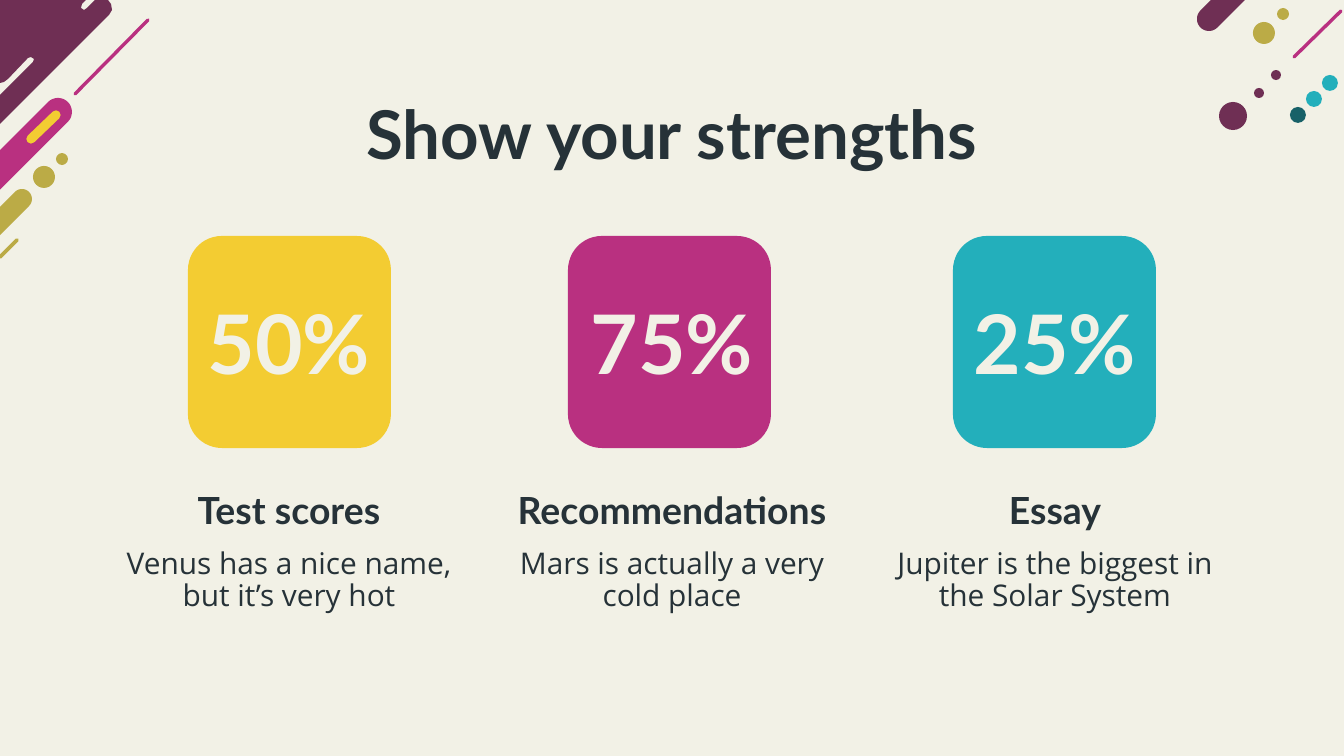
import math
from lxml import etree
from pptx import Presentation
from pptx.dml.color import RGBColor
from pptx.enum import shapes, text
from pptx.oxml.ns import qn
from pptx.util import Pt

WIDTH, HEIGHT = 1344, 756
SCALE = 9144000 / WIDTH
CREAM, INK = "F2F1E6", "263238"
PLUM, PINK, OLIVE = "6F2F54", "B93080", "BBAB46"
YELLOW, TEAL, DARK_TEAL = "F3CC32", "23AFBB", "186168"

TITLE = "Show your strengths"
# percentage, heading, description, card colour, card left
STRENGTHS = [
    ("50%", "Test scores", "Venus has a nice name, but it’s very hot", YELLOW, 188),
    ("75%", "Recommendations", "Mars is actually a very cold place", PINK, 568),
    ("25%", "Essay", "Jupiter is the biggest in the Solar System", TEAL, 953),
]
COLUMN_LEFT, COLUMN_PITCH, COLUMN_WIDTH = 105, 383, 368
CARD_TOP, CARD_WIDTH, CARD_HEIGHT = 236, 203, 212

PLUM_CORNER = [
    (0, 0), (0, 83), (4, 82), (8, 79), (28, 58), (31, 57), (34, 59), (33, 62),
    (0, 95), (0, 124), (109, 15), (112, 10), (111, 4), (108, 0), (95, 0),
    (87, 8), (84, 10), (81, 8), (82, 4), (86, 0),
]
# centre x, centre y, radius, colour
LEFT_BARS = [(22, 199, 10, OLIVE), (58, 112, 14, PINK)]
RIGHT_BAR = (1209, 19, 12, PLUM)
DOTS = [
    (44, 177, 11, OLIVE), (62, 159, 6, OLIVE),
    (1264, 33, 11, OLIVE), (1283, 14, 6, OLIVE),
    (1276, 75, 5, PLUM), (1259, 93, 5, PLUM), (1233, 116, 14, PLUM),
    (1298, 115, 8, DARK_TEAL), (1314, 99, 8, TEAL), (1330, 83, 8, TEAL),
]
# start x, start y, end x, end y, width in points, colour
STREAKS = [
    (75, 94, 148, 20, 1.8, PINK),
    (0, 257, 17, 240, 2, OLIVE),
    (31, 139, 56, 115, 5, YELLOW),
    (1294, 57, 1341, 11, 1.8, PINK),
]


def px(*values):
    return [round(v * SCALE) for v in values]


def rgb(colour):
    return RGBColor.from_string(colour)


def paint(sp, colour):
    sp.fill.solid()
    sp.fill.fore_color.rgb = rgb(colour)
    sp.line.fill.background()
    sp.shadow.inherit = False
    return sp


def add_outline(slide, points, colour):
    points = [px(*point) for point in points]
    builder = slide.shapes.build_freeform(*points[0], scale=1.0)
    builder.add_line_segments(points[1:], close=True)
    paint(builder.convert_to_shape(), colour)


def half_circle(x, y, r, start):
    """Points on a half circle, clockwise from the start angle in degrees."""
    angles = [math.radians(start + step) for step in range(0, 181, 10)]
    return [(x + r * math.cos(a), y + r * math.sin(a)) for a in angles]


def add_streak(slide, x1, y1, x2, y2, width, colour):
    line = slide.shapes.add_connector(shapes.MSO_CONNECTOR.STRAIGHT, *px(x1, y1, x2, y2))
    line.line.color.rgb = rgb(colour)
    line.line.width = Pt(width)
    properties = line._element.spPr
    properties.find(qn("a:ln")).set("cap", "rnd")
    etree.SubElement(properties, qn("a:effectLst"))


def write(sp, words, size, font, colour, bold=True, spacing=None, anchor=text.MSO_ANCHOR.TOP):
    tf = sp.text_frame
    tf.word_wrap = True
    tf.auto_size = text.MSO_AUTO_SIZE.NONE
    tf.vertical_anchor = anchor
    tf.margin_left = tf.margin_right = tf.margin_top = tf.margin_bottom = px(13.44)[0]
    p = tf.paragraphs[0]
    p.alignment = text.PP_ALIGN.CENTER
    p.line_spacing = spacing
    r = p.add_run()
    r.text = words
    r.font.size, r.font.name, r.font.bold = Pt(size), font, bold
    r.font.color.rgb = rgb(colour)


def add_decoration(slide):
    for x, y, r, colour in LEFT_BARS:
        cap = half_circle(x, y, r, 225)
        edge = [(0, px_ + py_) for px_, py_ in (cap[-1], cap[0])]
        add_outline(slide, cap + edge, colour)
    add_outline(slide, PLUM_CORNER, PLUM)
    x, y, r, colour = RIGHT_BAR
    cap = half_circle(x, y, r, 45)
    add_outline(slide, cap + [(sum(cap[-1]), 0), (sum(cap[0]), 0)], colour)
    for x, y, r, colour in DOTS:
        box = px(x - r, y - r, 2 * r, 2 * r)
        paint(slide.shapes.add_shape(shapes.MSO_SHAPE.OVAL, *box), colour)
    for streak in STREAKS:
        add_streak(slide, *streak)


def add_strength(slide, column, percentage, heading, description, colour, card_left):
    card = slide.shapes.add_shape(
        shapes.MSO_SHAPE.ROUNDED_RECTANGLE, *px(card_left, CARD_TOP, CARD_WIDTH, CARD_HEIGHT))
    card.adjustments[0] = 0.167
    paint(card, colour)

    left = COLUMN_LEFT + column * COLUMN_PITCH

    def box(top, height):
        return slide.shapes.add_textbox(*px(left, top, COLUMN_WIDTH, height))

    write(box(289, 106), percentage, 44, "Lato", CREAM, anchor=text.MSO_ANCHOR.MIDDLE)
    write(box(474, 55), heading, 20, "Lato", INK)
    write(box(535, 94), description, 16, "Open Sans", INK, bold=False, spacing=0.9)


def main():
    prs = Presentation()
    prs.slide_width, prs.slide_height = px(WIDTH, HEIGHT)
    slide = prs.slides.add_slide(prs.slide_layouts[5])
    slide.background.fill.solid()
    slide.background.fill.fore_color.rgb = rgb(CREAM)
    add_decoration(slide)

    title = slide.shapes.title
    title.left, title.top, title.width, title.height = px(105, 79, 1134, 90)
    write(title, TITLE, 36, "Lato", INK)
    for column, strength in enumerate(STRENGTHS):
        add_strength(slide, column, *strength)
    prs.save("out.pptx")


if __name__ == "__main__":
    main()
